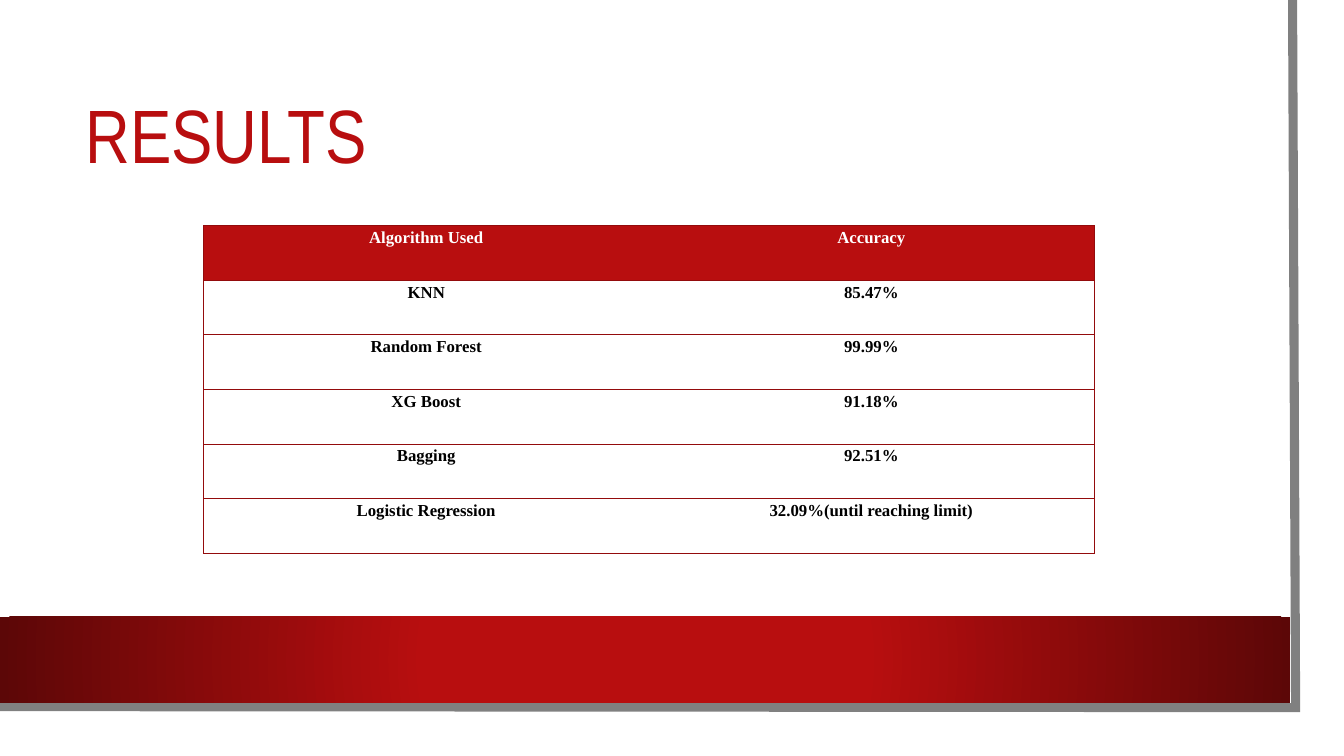
from lxml import etree
from pptx import Presentation
from pptx.dml.color import RGBColor
from pptx.enum.text import MSO_ANCHOR, PP_ALIGN
from pptx.oxml.ns import qn
from pptx.util import Inches, Pt

CENTER = PP_ALIGN.CENTER
MIDDLE, TOP = MSO_ANCHOR.MIDDLE, MSO_ANCHOR.TOP
RECTANGLE = 1

WHITE = RGBColor(0xFF, 0xFF, 0xFF)
BLACK = RGBColor(0, 0, 0)
GREY = RGBColor(0x80, 0x80, 0x80)
RED = RGBColor(0xB8, 0x0E, 0x0F)
DARK_RED = RGBColor(0x5C, 0x07, 0x07)
RULE_RED = RGBColor(0x93, 0x0B, 0x0C)

TITLE_FONT = {"name": "Arial Narrow", "size": Pt(54)}
CELL_FONT = {"name": "Times New Roman", "size": Pt(12), "bold": True}
CELL_MARGINS = {
    "margin_left": Inches(0.07), "margin_right": Inches(0.07),
    "margin_top": 0, "margin_bottom": 0, "vertical_anchor": TOP,
}
RESULTS = [
    ("Algorithm Used", "Accuracy"),
    ("KNN", "85.47%"),
    ("Random Forest", "99.99%"),
    ("XG Boost", "91.18%"),
    ("Bagging", "92.51%"),
    ("Logistic Regression", "32.09%(until reaching limit)"),
]


def apply_format(target, values):
    """Set every attribute named in values on target."""
    for name, value in values.items():
        setattr(target, name, value)


def write_line(paragraph, text, font, colour, spacing):
    """Fill a paragraph with one formatted run."""
    paragraph.line_spacing = spacing
    run = paragraph.add_run()
    run.text = text
    apply_format(run.font, font)
    run.font.color.rgb = colour


def add_block(slide, box):
    """Add a rectangle without outline or shadow."""
    block = slide.shapes.add_shape(RECTANGLE, *map(Inches, box))
    block.shadow.inherit = False
    block.line.fill.background()
    return block


def draw_sheet(slide, box):
    """Draw the white sheet with its grey edge on the right and bottom."""
    left, top, width, height = box
    sheet = add_block(slide, box)
    sheet.fill.solid()
    sheet.fill.fore_color.rgb = WHITE

    right, bottom = left + width - 0.25, top + height - 0.25
    builder = slide.shapes.build_freeform(
        Inches(right - 0.03), Inches(top), scale=1.0)
    corners = [(right, bottom), (left - 0.03, bottom - 0.01)]
    builder.add_line_segments(
        [(Inches(x), Inches(y)) for x, y in corners], close=False)
    edge = builder.convert_to_shape()
    edge.shadow.inherit = False
    edge.fill.background()
    edge.line.color.rgb = GREY
    edge.line.width = Pt(6.5)
    etree.SubElement(edge.line._get_or_add_ln(), qn("a:miter"), lim="800000")


def draw_banner(slide, box):
    """Draw the red banner that darkens away from its centre."""
    banner = add_block(slide, box)
    banner.fill.gradient()
    stops = zip(banner.fill.gradient_stops, (0.34, 1), (RED, DARK_RED))
    for stop, position, colour in stops:
        stop.position = position
        stop.color.rgb = colour
    gradient = banner._element.spPr.find(qn("a:gradFill"))
    gradient.remove(gradient.find(qn("a:lin")))
    radial = etree.SubElement(gradient, qn("a:path"), path="circle")
    etree.SubElement(radial, qn("a:fillToRect"),
                     {side: "50000" for side in "ltrb"})


def draw_title(slide, box, text):
    """Write the slide title, centred vertically in its box."""
    frame = slide.shapes.add_textbox(*map(Inches, box)).text_frame
    frame.word_wrap = True
    frame.vertical_anchor = MIDDLE
    write_line(frame.paragraphs[0], text, TITLE_FONT, RED, 0.9)


def rule_cell(cell, ruled_sides):
    """Draw thin rules on the given sides and clear the others."""
    properties = cell._tc.get_or_add_tcPr()
    for side in "LRTB":
        rule = etree.SubElement(
            properties, qn(f"a:ln{side}"), w=str(Pt(0.75)))
        if side in ruled_sides:
            fill = etree.SubElement(rule, qn("a:solidFill"))
            etree.SubElement(fill, qn("a:srgbClr"), val=str(RULE_RED))
        else:
            etree.SubElement(rule, qn("a:noFill"))


def draw_results(slide, box, results):
    """Lay out the accuracy table with equal rows and columns."""
    height = box[3]
    table = slide.shapes.add_table(
        len(results), len(results[0]), *map(Inches, box)).table
    table.horz_banding = False
    for r, entry in enumerate(results):
        table.rows[r].height = Inches(height / len(results))
        for c, text in enumerate(entry):
            cell = table.cell(r, c)
            apply_format(cell, CELL_MARGINS)
            rule_cell(cell, "LTB" if c == 0 else "RTB")
            if r == 0:
                cell.fill.solid()
                cell.fill.fore_color.rgb = RED
            else:
                cell.fill.background()
            paragraph = cell.text_frame.paragraphs[0]
            paragraph.alignment = CENTER
            write_line(paragraph, text, CELL_FONT,
                       WHITE if r == 0 else BLACK, 1.15)


def main():
    """Build the results slide and save it."""
    deck = Presentation()
    deck.slide_width, deck.slide_height = Inches(13.33), Inches(7.5)
    slide = deck.slides.add_slide(deck.slide_layouts[6])
    draw_sheet(slide, (0, 0, 13.1, 7.27))
    draw_banner(slide, (0, 6.12, 12.8, 0.85))
    draw_title(slide, (0.75, 0.75, 11.37, 1.26), "RESULTS")
    draw_results(slide, (2.02, 2.24, 8.83, 3.25), RESULTS)
    deck.save("out.pptx")


if __name__ == "__main__":
    main()
